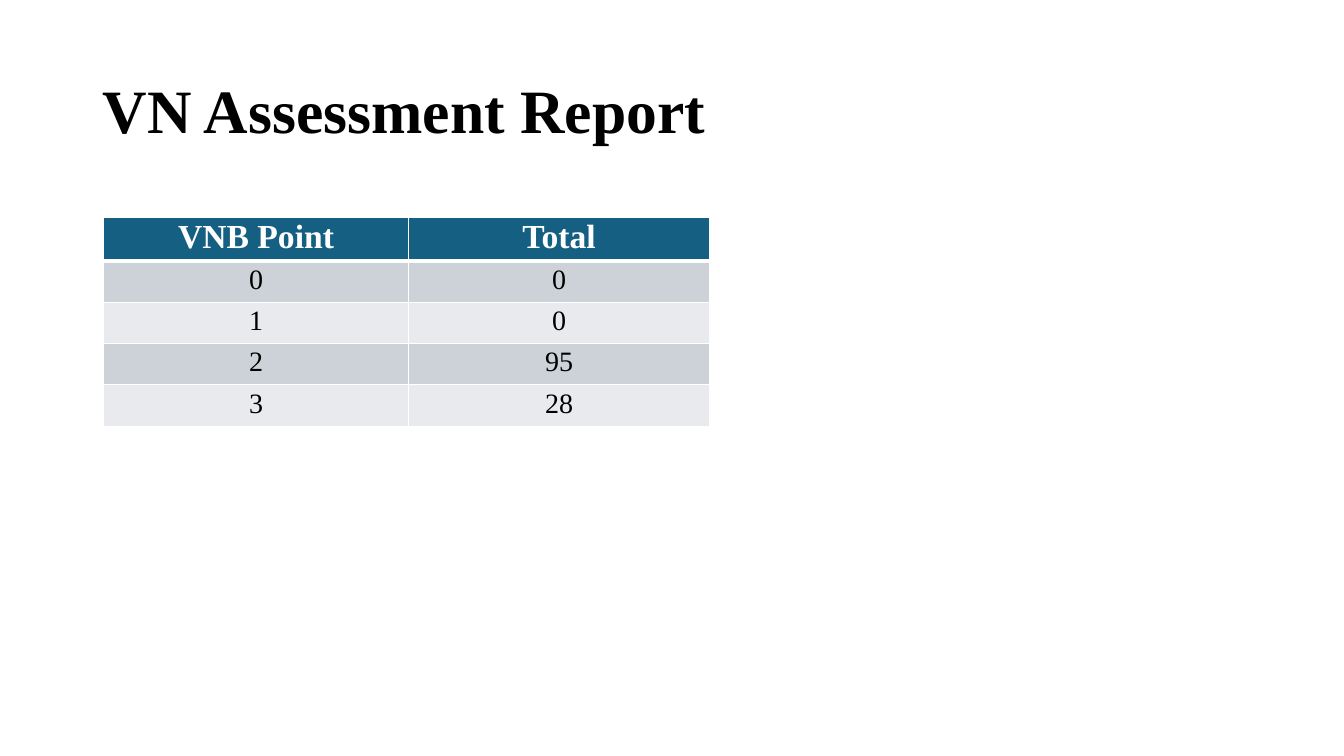
from dataclasses import dataclass

from lxml import etree
from pptx import Presentation
from pptx.dml.color import RGBColor
from pptx.enum.text import MSO_ANCHOR, PP_ALIGN
from pptx.oxml.ns import qn
from pptx.table import _Cell
from pptx.text.text import TextFrame
from pptx.util import Inches, Pt

MIDDLE = MSO_ANCHOR.MIDDLE
LEFT, CENTER = PP_ALIGN.LEFT, PP_ALIGN.CENTER

BLACK = RGBColor(0x00, 0x00, 0x00)
WHITE = RGBColor(0xFF, 0xFF, 0xFF)
HEADER_BLUE = RGBColor(0x15, 0x60, 0x82)
BAND_DARK = RGBColor(0xCC, 0xD2, 0xD8)
BAND_LIGHT = RGBColor(0xE8, 0xEA, 0xED)
FONT = "Times New Roman"

COLUMN_WIDTHS = (3.02, 2.99)
ROW_HEIGHT = 0.41
SCORES = (
    ("VNB Point", "Total"),
    ("0", "0"),
    ("1", "0"),
    ("2", "95"),
    ("3", "28"),
)


@dataclass(frozen=True)
class RowStyle:
    fill: RGBColor
    color: RGBColor = BLACK
    size: int = 20
    bold: bool = False


HEADER = RowStyle(HEADER_BLUE, WHITE, 24, True)
BANDS = (RowStyle(BAND_DARK), RowStyle(BAND_LIGHT))


def write_text(frame: TextFrame, text: str, *, size: int, color: RGBColor,
               bold: bool = False, align: PP_ALIGN = LEFT,
               line_spacing: float = 1.0) -> None:
    para = frame.paragraphs[0]
    para.alignment = align
    para.line_spacing = line_spacing
    span = para.add_run()
    span.text = text
    span.font.name = FONT
    span.font.size = Pt(size)
    span.font.bold = bold
    span.font.color.rgb = color


def add_border(cell: _Cell, side: str, width: float) -> None:
    properties = cell._tc.get_or_add_tcPr()
    line = etree.SubElement(properties, qn(f"a:ln{side}"), w=str(Pt(width)))
    fill = etree.SubElement(line, qn("a:solidFill"))
    etree.SubElement(fill, qn("a:srgbClr"), val=str(WHITE))


def format_cell(cell: _Cell, text: str, style: RowStyle,
                top_border: float, bottom_border: float) -> None:
    cell.vertical_anchor = MIDDLE
    cell.margin_left = cell.margin_right = cell.margin_top = Inches(0.01)
    cell.margin_bottom = Inches(0.05)
    for side, width in (("L", 1), ("R", 1), ("T", top_border), ("B", bottom_border)):
        add_border(cell, side, width)
    cell.fill.solid()
    cell.fill.fore_color.rgb = style.fill
    write_text(cell.text_frame, text, size=style.size, color=style.color,
               bold=style.bold, align=CENTER)


def main() -> None:
    deck = Presentation()
    deck.slide_width, deck.slide_height = Inches(13.33), Inches(7.5)
    page = deck.slides.add_slide(deck.slide_layouts[5])

    # Title
    title = page.shapes.title
    title.left, title.top = Inches(0.92), Inches(0.4)
    title.width, title.height = Inches(11.5), Inches(1.45)
    title.text_frame.vertical_anchor = MIDDLE
    write_text(title.text_frame, "VN Assessment Report", size=44, color=BLACK,
               bold=True, line_spacing=0.9)

    # Score table
    table = page.shapes.add_table(
        len(SCORES), len(COLUMN_WIDTHS), Inches(1.03), Inches(2.16),
        Inches(sum(COLUMN_WIDTHS)), Inches(ROW_HEIGHT * len(SCORES))).table
    for column, width in zip(table.columns, COLUMN_WIDTHS):
        column.width = Inches(width)
    for index, values in enumerate(SCORES):
        table.rows[index].height = Inches(ROW_HEIGHT)
        style = HEADER if index == 0 else BANDS[(index - 1) % len(BANDS)]
        top_border = 3 if index == 1 else 1
        bottom_border = 3 if index == 0 else 1
        for cell, text in zip(table.rows[index].cells, values):
            format_cell(cell, text, style, top_border, bottom_border)

    deck.save("out.pptx")


if __name__ == "__main__":
    main()
